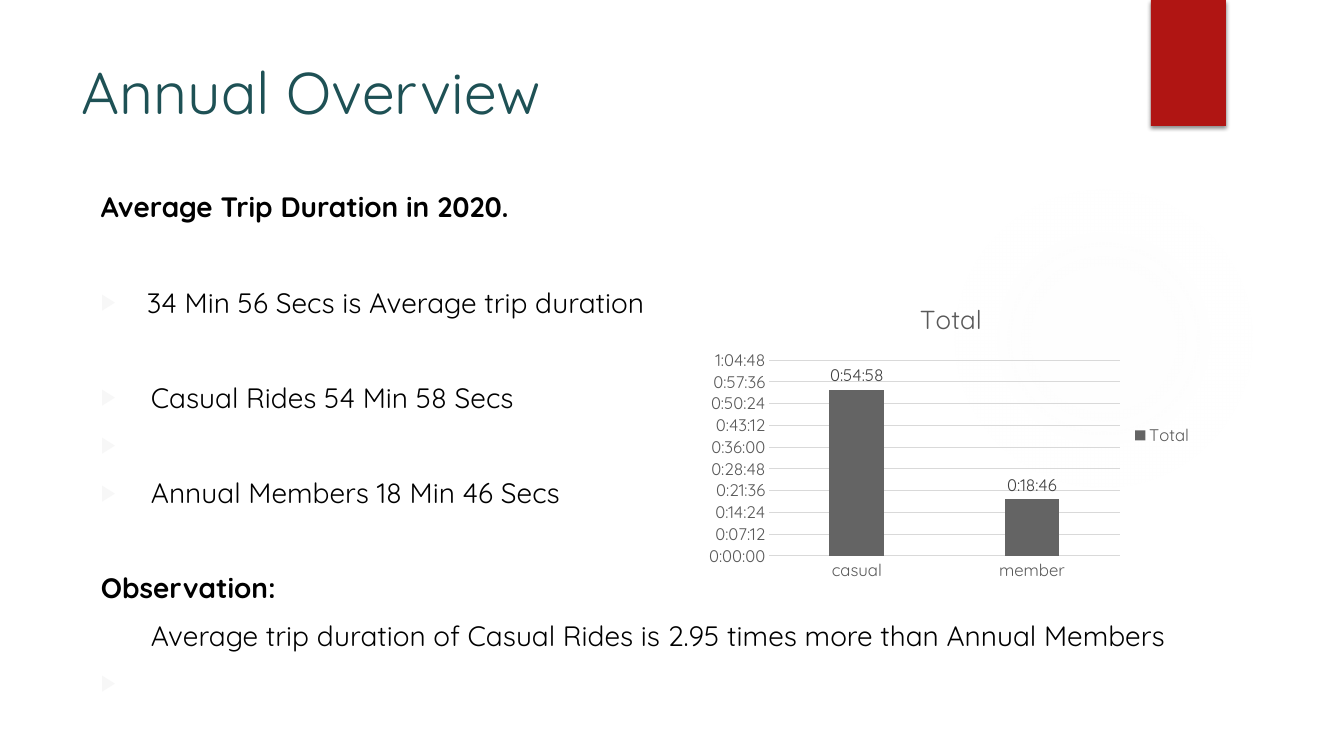
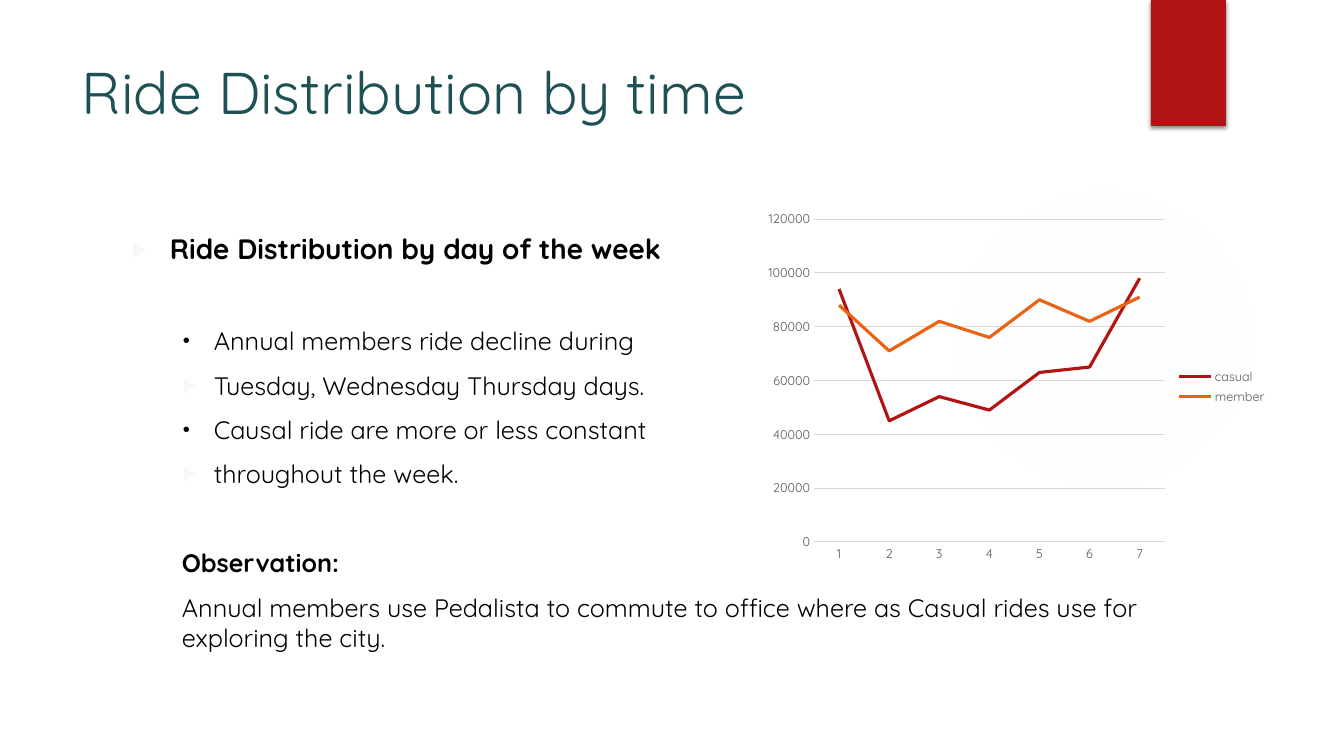
import lxml.etree
import pptx
import pptx.chart.data
import pptx.dml.color
import pptx.enum.chart
import pptx.enum.shapes
import pptx.enum.text
import pptx.oxml
import pptx.oxml.ns
import pptx.util

FONT = "Quicksand"
TITLE_COLOUR = "1E5155"
RED, ORANGE, BAR_GREY = "B01513", "EA6312", "646464"
AXIS_TEXT, GRID, BULLET_GREY = "595959", "D9D9D9", "F7F7F7"
PX = 914400 / 100.8
CLOCK = "[h]:mm:ss;@"
qn = pptx.oxml.ns.qn
sub = lxml.etree.SubElement
chart_types = pptx.enum.chart.XL_CHART_TYPE


def px(*lengths):
    return [pptx.util.Emu(round(length * PX)) for length in lengths]


def rgb(value):
    return pptx.dml.color.RGBColor.from_string(value)


# Paragraphs: text, size, bold, left margin, hanging indent, bullet, space before
pages = [
    {
        "title": "Annual Overview",
        "body_at": (91, 185, 1198, 509),
        "body": [
            ("Average Trip Duration in 2020.", 20, True, 0, 0, "", 0),
            ("34 Min 56 Secs is Average trip duration", 20, False, 46, 46, "▶", 44),
            ("Casual Rides 54 Min 58 Secs", 20, False, 50, 50, "▶", 44),
            ("\t", 20, False, 50, 50, "▶", 10),
            ("Annual Members 18 Min 46 Secs", 20, False, 50, 50, "▶", 10),
            ("Observation:", 20, True, 0, 0, "", 44),
            ("Average trip duration of Casual Rides is 2.95 times more than Annual Members",
             20, False, 50, 0, "", 10),
            ("\t", 20, False, 50, 50, "▶", 10),
        ],
        "chart_at": (699, 284, 504, 303),
        "kind": chart_types.COLUMN_CLUSTERED,
        "chart_title": "Total",
        "categories": ["casual", "member"],
        "series": [("Total", BAR_GREY, [0.038176, 0.013036])],
        "size": 12, "format": CLOCK, "maximum": 0.045, "step": 0.005,
    },
    {
        "title": "Ride Distribution by time",
        "body_at": (122, 227, 1077, 480),
        "body": [
            ("Ride Distribution by day of the week", 20, True, 38, 38, "▶", 0),
            ("Annual members ride decline during", 18, False, 82, 31, "•", 43),
            ("Tuesday, Wednesday Thursday days.", 18, False, 82, 31, "▶", 10),
            ("Causal ride are more or less constant", 18, False, 82, 31, "•", 10),
            ("throughout the week.", 18, False, 82, 31, "▶", 10),
            ("Observation:", 18, True, 50, 0, "", 42),
            ("Annual members use Pedalista to commute to office where as Casual rides "
             "use for exploring the city.", 18, False, 50, 0, "", 10),
        ],
        "chart_at": (758, 204, 519, 365),
        "kind": chart_types.LINE,
        "chart_title": "",
        "categories": ["1", "2", "3", "4", "5", "6", "7"],
        "series": [
            ("casual", RED, [94000, 45000, 54000, 49000, 63000, 65000, 98000]),
            ("member", ORANGE, [88000, 71000, 82000, 76000, 90000, 82000, 91000]),
        ],
        "size": 9, "format": "General", "maximum": 120000, "step": 20000,
    },
]

deck = pptx.Presentation()
deck.slide_width, deck.slide_height = px(1344, 756)

for content in pages:
    page = deck.slides.add_slide(deck.slide_layouts[6])

    # Pale glow and red tab
    glow = page.shapes.add_shape(pptx.enum.shapes.MSO_SHAPE.OVAL, *px(949, 184, 310, 310))
    tab = page.shapes.add_shape(pptx.enum.shapes.MSO_SHAPE.RECTANGLE, *px(1151, 0, 75, 126))
    for shape in (glow, tab):
        shape.shadow.inherit = False
        shape.line.fill.background()
    glow.fill.background()
    properties = glow.element.spPr
    gradient = lxml.etree.Element(qn("a:gradFill"))
    stops = sub(gradient, qn("a:gsLst"))
    for position, opacity in ((0, 7), (36, 6), (69, 0)):
        stop = sub(stops, qn("a:gs"), pos=str(position * 1000))
        tint = sub(stop, qn("a:srgbClr"), val="F3F3F3")
        sub(tint, qn("a:alpha"), val=str(opacity * 1000))
    circle = sub(gradient, qn("a:path"), path="circle")
    sub(circle, qn("a:fillToRect"), l="50000", t="50000", r="50000", b="50000")
    properties.replace(properties.find(qn("a:noFill")), gradient)

    tab.fill.solid()
    tab.fill.fore_color.rgb = rgb(RED)
    shadow = sub(tab.element.spPr.find(qn("a:effectLst")), qn("a:outerShdw"),
                 blurRad="38100", dist="25400", dir="5400000", rotWithShape="0")
    sub(sub(shadow, qn("a:srgbClr"), val="000000"), qn("a:alpha"), val="45000")

    # Title and body text
    title = [(content["title"], 42, False, 0, 0, "", 0)]
    for place, paragraphs, colour in (((72, 51, 1037, 154), title, TITLE_COLOUR),
                                      (content["body_at"], content["body"], "000000")):
        frame = page.shapes.add_textbox(*px(*place)).text_frame
        frame.word_wrap = True
        frame.vertical_anchor = pptx.enum.text.MSO_ANCHOR.TOP
        for index, (text, size, bold, margin, hanging, bullet, before) in enumerate(paragraphs):
            para = frame.paragraphs[0] if index == 0 else frame.add_paragraph()
            para.space_before = pptx.util.Pt(before)
            span = para.add_run()
            span.text = text
            span.font.name = FONT
            span.font.size = pptx.util.Pt(size)
            span.font.bold = bold
            span.font.color.rgb = rgb(colour)
            settings = para._p.get_or_add_pPr()
            left, indent = px(margin, -hanging)
            settings.set("marL", str(left))
            settings.set("indent", str(indent))
            if bullet == "▶":
                sub(sub(settings, qn("a:buClr")), qn("a:srgbClr"), val=BULLET_GREY)
            if bullet:
                sub(settings, qn("a:buSzPct"), val="80000")
                sub(settings, qn("a:buFont"), typeface="Arial")
                sub(settings, qn("a:buChar"), char=bullet)
            else:
                sub(settings, qn("a:buNone"))

    # Chart
    data = pptx.chart.data.CategoryChartData(number_format=content["format"])
    data.categories = content["categories"]
    for name, colour, values in content["series"]:
        data.add_series(name, values)
    chart = page.shapes.add_chart(content["kind"], *px(*content["chart_at"]), data).chart
    chart.font.name = FONT
    chart.font.size = pptx.util.Pt(content["size"])
    chart.font.color.rgb = rgb(AXIS_TEXT)
    chart.has_title = bool(content["chart_title"])
    if chart.has_title:
        span = chart.chart_title.text_frame.paragraphs[0].add_run()
        span.text = content["chart_title"]
        span.font.name = FONT
        span.font.size = pptx.util.Pt(18.6)
        span.font.bold = False
        span.font.color.rgb = rgb(AXIS_TEXT)
    chart.has_legend = True
    chart.legend.position = pptx.enum.chart.XL_LEGEND_POSITION.RIGHT
    chart.legend.include_in_layout = False

    # Axes
    for axis in (chart.category_axis, chart.value_axis):
        axis.major_tick_mark = pptx.enum.chart.XL_TICK_MARK.NONE
        axis.minor_tick_mark = pptx.enum.chart.XL_TICK_MARK.NONE
    value_axis = chart.value_axis
    value_axis.minimum_scale = 0
    value_axis.maximum_scale = content["maximum"]
    value_axis.major_unit = content["step"]
    value_axis.tick_labels.number_format = content["format"]
    value_axis.tick_labels.number_format_is_linked = False
    value_axis.format.line.fill.background()
    for line in (chart.category_axis.format.line, value_axis.major_gridlines.format.line):
        line.color.rgb = rgb(GRID)
        line.width = pptx.util.Pt(0.75)

    # Series
    plot = chart.plots[0]
    plot.vary_by_categories = False
    for series, (name, colour, values) in zip(plot.series, content["series"]):
        if content["kind"] == chart_types.LINE:
            series.smooth = False
            series.format.line.color.rgb = rgb(colour)
            series.format.line.width = pptx.util.Pt(2.25)
        else:
            series.format.fill.solid()
            series.format.fill.fore_color.rgb = rgb(colour)
            plot.gap_width, plot.overlap = 219, -27
            labels = series.data_labels
            labels.show_value = True
            labels.position = pptx.enum.chart.XL_LABEL_POSITION.OUTSIDE_END
            labels.number_format = CLOCK
            labels.number_format_is_linked = False
            labels.font.name = FONT
            labels.font.size = pptx.util.Pt(12)
            labels.font.color.rgb = rgb("404040")

deck.save("out.pptx")
